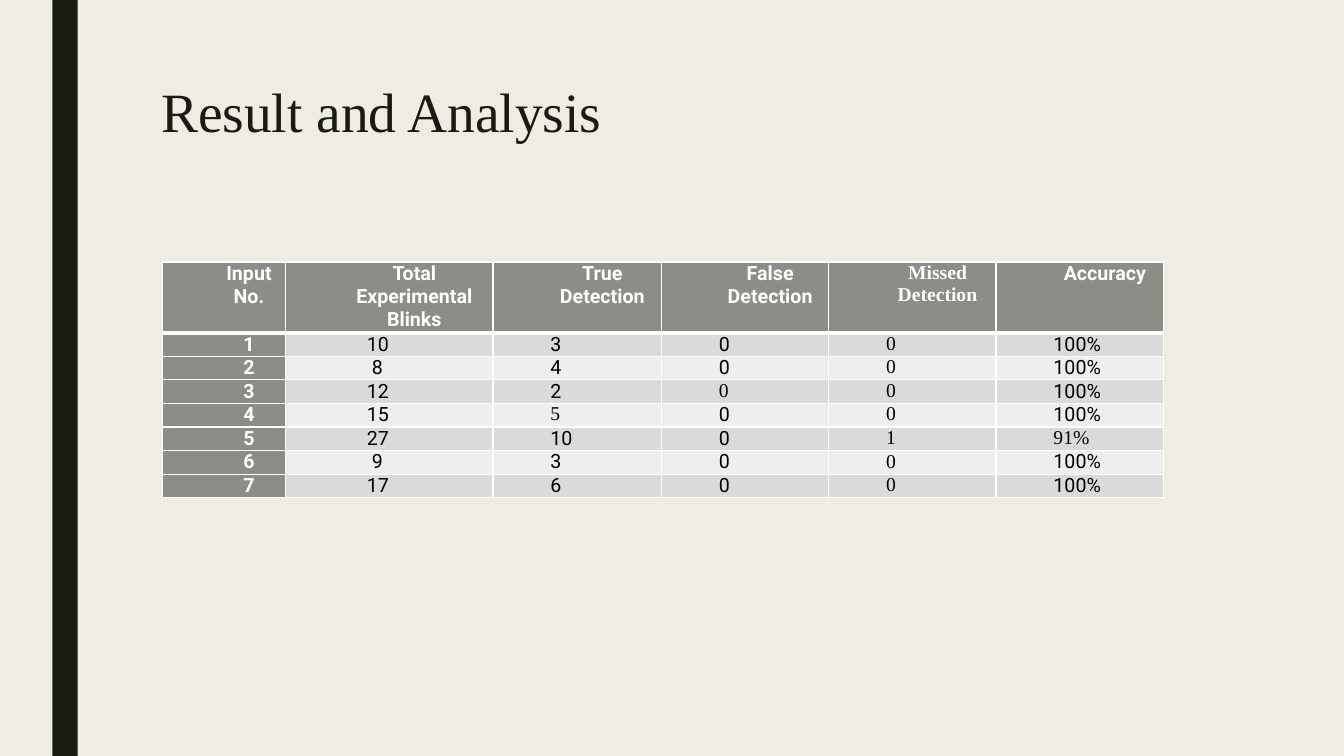
from lxml import etree
from pptx import Presentation
from pptx.dml.color import RGBColor
from pptx.enum import shapes, text
from pptx.oxml.ns import qn
from pptx.util import Inches, Pt

DARK, GREY, WHITE, BLACK = "191B0E", "8C8D86", "FFFFFF", "000000"
BANDS = ("EEEEED", "DADBD9")
SERIF, SANS = "Times New Roman", "Roboto"


def paint(fill, color):
    fill.solid()
    fill.fore_color.rgb = RGBColor.from_string(color)


def add_border(cell, side, width):
    """Draw one white cell border; side is L, R, T or B."""
    line = etree.SubElement(cell._tc.get_or_add_tcPr(), qn(f"a:ln{side}"), w=str(Pt(width)))
    fill = etree.SubElement(line, qn("a:solidFill"))
    etree.SubElement(fill, qn("a:srgbClr"), val=WHITE)


presentation = Presentation()
presentation.slide_width = Inches(13.33)
presentation.slide_height = Inches(7.5)
slide = presentation.slides.add_slide(presentation.slide_layouts[6])
paint(slide.background.fill, "EFEDE3")

# Side bar
bar = slide.shapes.add_shape(
    shapes.MSO_SHAPE.RECTANGLE, Inches(0.52), 0, Inches(0.25), Inches(7.5))
bar.shadow.inherit = False
paint(bar.fill, DARK)
bar.line.fill.background()

# Title
title = slide.shapes.add_textbox(Inches(1.5), Inches(0.75), Inches(10.5), Inches(0.73))
title.text_frame.word_wrap = True
title.text_frame.vertical_anchor = text.MSO_ANCHOR.BOTTOM
paragraph = title.text_frame.paragraphs[0]
paragraph.text = "Result and Analysis"
paragraph.line_spacing = 0.89
paragraph.font.name = SERIF
paragraph.font.size = Pt(39.6)
paint(paragraph.font.fill, DARK)

# Results table
rows = [
    ("Input\nNo.", "Total Experimental Blinks", "True Detection",
     "False Detection", "Missed Detection", "Accuracy"),
    ("1", "10", "3", "0", "0", "100%"),
    ("2", "8", "4", "0", "0", "100%"),
    ("3", "12", "2", "0", "0", "100%"),
    ("4", "15", "5", "0", "0", "100%"),
    ("5", "27", "10", "0", "1", "91%"),
    ("6", "9", "3", "0", "0", "100%"),
    ("7", "17", "6", "0", "0", "100%"),
]
column_widths = (1.22, 2.06, 1.67, 1.66, 1.66, 1.66)
BLINKS, MISSED = 1, 4
serif_cells = {(3, 3), (4, 2), (5, 5)}

table = slide.shapes.add_table(
    len(rows), len(column_widths), Inches(1.61), Inches(2.6), Inches(9.93), Inches(2.3)).table
for column, width in zip(table.columns, column_widths):
    column.width = Inches(width)

for r, values in enumerate(rows):
    table.rows[r].height = Inches(0.23 if r else 0.69)
    for c, value in enumerate(values):
        cell = table.cell(r, c)
        heading = r == 0 or c == 0
        margins = {"margin_left": 0.07, "margin_right": 0.07,
                   "margin_top": 0, "margin_bottom": 0}
        for name, margin in margins.items():
            setattr(cell, name, Inches(margin))
        for side in "LRTB":
            thick = (r, side) in ((0, "B"), (1, "T"))
            add_border(cell, side, 3 if thick else 1)
        paint(cell.fill, GREY if heading else BANDS[r % 2])

        indent = 0.5
        if c == BLINKS and not heading:
            indent = 0.74 if len(value) == 2 else 0.79
        serif = c == MISSED or (r, c) in serif_cells
        cell.text = value
        for paragraph in cell.text_frame.paragraphs:
            paragraph.alignment = text.PP_ALIGN.CENTER if heading else text.PP_ALIGN.JUSTIFY
            paragraph._p.get_or_add_pPr().set("marL", str(Inches(indent)))
            font_format = {"name": SERIF if serif else SANS, "size": Pt(14), "bold": heading}
            for run in paragraph.runs:
                for name, setting in font_format.items():
                    setattr(run.font, name, setting)
                paint(run.font.fill, WHITE if heading else BLACK)

presentation.save("out.pptx")
